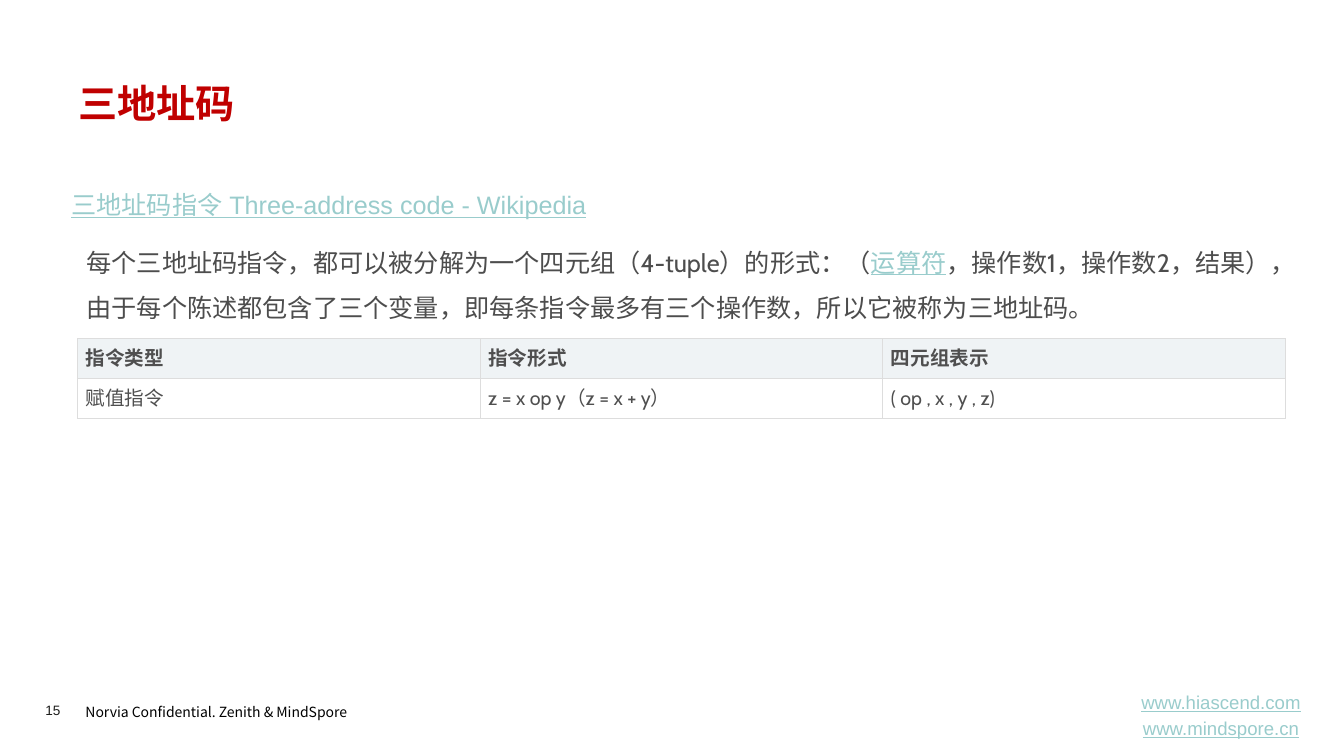
from lxml import etree
from pptx import Presentation
from pptx.dml.color import RGBColor
from pptx.enum.text import MSO_ANCHOR, PP_ALIGN
from pptx.oxml.ns import qn
from pptx.util import Inches, Pt

LEFT, CENTER = PP_ALIGN.LEFT, PP_ALIGN.CENTER
TOP, MIDDLE = MSO_ANCHOR.TOP, MSO_ANCHOR.MIDDLE
WIDTH, HEIGHT = Inches(13.34), Inches(7.5)
COLORS = {"title": "C00000", "link": "99CCCC", "body": "4D4D4D", "cell": "4F4F4F",
          "header": "EFF3F5", "row": "FFFFFF", "border": "DDDDDD",
          "footer": "000000", "page": "1D1D1B"}

STYLES = {
    "title": {"name": "Quicksand", "size": Pt(28), "bold": True},
    "link": {"name": "Arial", "size": Pt(18), "underline": True},
    "body": {"name": "Cabin", "size": Pt(18)},
    "term": {"name": "Cabin", "size": Pt(18), "underline": True},
    "site": {"name": "Arial", "size": Pt(13.3), "underline": True},
    "footer": {"name": "Noto Sans CJK SC", "size": Pt(10)},
    "page": {"name": "Arial", "size": Pt(9.7)},
    "header": {"name": "Cabin", "size": Pt(14), "bold": True},
    "cell": {"name": "Cabin", "size": Pt(14), "bold": False},
}
STYLE_COLORS = {"term": "link", "site": "link", "header": "cell"}

TEXTS = [
    {"share": (5.62, 92, 23.46, 3.87), "spacing": 1.2,
     "lines": [[("Norvia Confidential. Zenith & MindSpore", "footer")]]},
    {"share": (3.37, 92.8, 4.12, 2.13), "inset": 0, "lines": [[("15", "page")]]},
    {"share": (82.76, 91.73, 16.19, 5.73), "align": CENTER, "anchor": MIDDLE,
     "lines": [[("www.hiascend.com", "site")], [("www.mindspore.cn", "site")]]},
    {"share": (5.1, 9.87, 89.88, 8.53), "lines": [[("三地址码", "title")]]},
    {"share": (4.57, 24.4, 42.35, 5.33), "wrap": False,
     "lines": [[("三地址码指令 Three-address code - Wikipedia", "link")]]},
    {"share": (5.7, 30, 91, 12.8), "spacing": 1.5, "lines": [[
        ("每个三地址码指令，都可以被分解为一个四元组（4-tuple）的形式：（", "body"),
        ("运算符", "term"),
        ("，操作数1，操作数2，结果），由于每个陈述都包含了三个变量，"
         "即每条指令最多有三个操作数，所以它被称为三地址码。", "body")]]},
]

INSTRUCTIONS = [
    ("指令类型", "指令形式", "四元组表示"),
    ("赋值指令", "z = x op y（z = x + y）", "( op , x , y , z)"),
]
INSTRUCTIONS_SHARE = (5.77, 44.8, 89.88, 10.6)


def place(share):
    return [round(part * side / 100)
            for part, side in zip(share, (WIDTH, HEIGHT, WIDTH, HEIGHT))]


def add_run(paragraph, text, style):
    run = paragraph.add_run()
    run.text = text
    for attribute, value in STYLES[style].items():
        setattr(run.font, attribute, value)
    run.font.color.rgb = RGBColor.from_string(COLORS[STYLE_COLORS.get(style, style)])
    etree.SubElement(run.font._element, qn("a:ea"), typeface=STYLES[style]["name"])


def add_text(slide, share, lines, align=LEFT, anchor=TOP, spacing=None, wrap=True, inset=None):
    frame = slide.shapes.add_textbox(*place(share)).text_frame
    frame.word_wrap = wrap
    frame.vertical_anchor = anchor
    if inset is not None:
        for side in ("left", "top", "right", "bottom"):
            setattr(frame, f"margin_{side}", Inches(inset))
    for index, runs in enumerate(lines):
        paragraph = frame.add_paragraph() if index else frame.paragraphs[0]
        paragraph.alignment = align
        if spacing:
            paragraph.line_spacing = spacing
        if index:
            paragraph.space_before = Pt(2.7)
        for text, style in runs:
            add_run(paragraph, text, style)


def add_borders(cell):
    properties = cell._tc.get_or_add_tcPr()
    for index, side in enumerate(("lnL", "lnR", "lnT", "lnB")):
        line = etree.Element(qn(f"a:{side}"), w=str(Pt(0.75)))
        fill = etree.SubElement(line, qn("a:solidFill"))
        etree.SubElement(fill, qn("a:srgbClr"), val=COLORS["border"])
        properties.insert(index, line)


def add_instructions(slide):
    left, top, width, height = place(INSTRUCTIONS_SHARE)
    rows, columns = len(INSTRUCTIONS), len(INSTRUCTIONS[0])
    table = slide.shapes.add_table(rows, columns, left, top, width, height).table
    table.first_row = table.horz_banding = False
    for row, texts in enumerate(INSTRUCTIONS):
        for column, text in enumerate(texts):
            cell = table.cell(row, column)
            cell.vertical_anchor = MIDDLE
            for side in ("left", "top", "right", "bottom"):
                setattr(cell, f"margin_{side}", Inches(0.08))
            cell.fill.solid()
            cell.fill.fore_color.rgb = RGBColor.from_string(COLORS["row" if row else "header"])
            add_borders(cell)
            add_run(cell.text_frame.paragraphs[0], text, "cell" if row else "header")


def main():
    deck = Presentation()
    deck.slide_width, deck.slide_height = WIDTH, HEIGHT
    slide = deck.slides.add_slide(deck.slide_layouts[6])
    for text in TEXTS:
        add_text(slide, **text)
    add_instructions(slide)
    deck.save("out.pptx")


if __name__ == "__main__":
    main()
